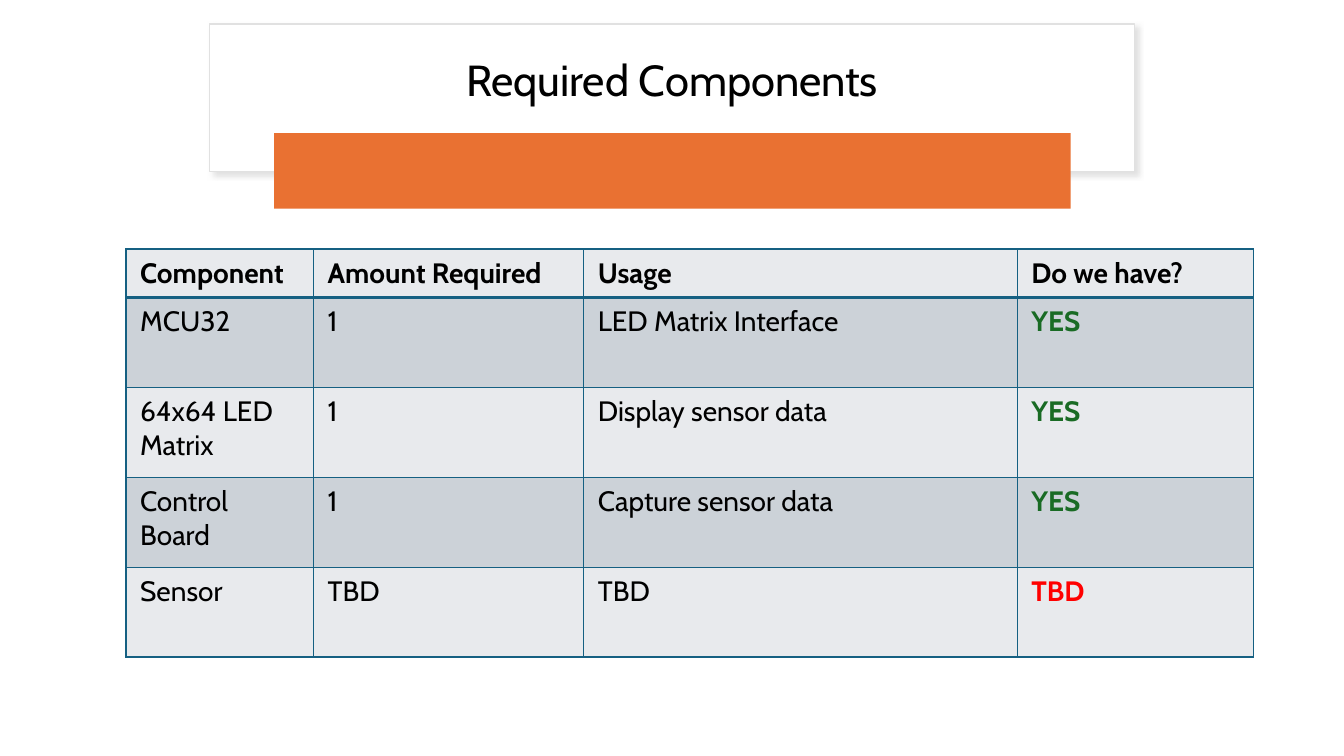
from lxml import etree
from pptx import Presentation
from pptx.dml.color import RGBColor
from pptx.enum.shapes import MSO_SHAPE
from pptx.enum.text import MSO_ANCHOR, PP_ALIGN
from pptx.oxml import parse_xml
from pptx.oxml.ns import nsdecls, qn
from pptx.util import Inches, Pt

RECT = MSO_SHAPE.RECTANGLE
MIDDLE = MSO_ANCHOR.MIDDLE
TOP = MSO_ANCHOR.TOP
LEFT = PP_ALIGN.LEFT
CENTER = PP_ALIGN.CENTER

WHITE = RGBColor(0xFF, 0xFF, 0xFF)
BLACK = RGBColor(0, 0, 0)
ORANGE = RGBColor(0xE9, 0x71, 0x32)
FRAME = RGBColor(0xE1, 0xE1, 0xE1)
SHADE = RGBColor(0xC5, 0xC5, 0xC5)
EDGE = RGBColor(0x15, 0x60, 0x82)
BANDS = (RGBColor(0xE8, 0xEA, 0xED), RGBColor(0xCC, 0xD2, 0xD8))
GREEN = RGBColor(0x19, 0x6B, 0x24)
RED = RGBColor(0xFF, 0, 0)
FONT = "Cabin"

ROWS = (
    ("Component", "Amount Required", "Usage", "Do we have?"),
    ("MCU32", "1", "LED Matrix Interface", "YES"),
    ("64x64 LED Matrix", "1", "Display sensor data", "YES"),
    ("Control Board", "1", "Capture sensor data", "YES"),
    ("Sensor", "TBD", "TBD", "TBD"),
)
WIDTHS = (1.86, 2.68, 4.3, 2.34)
HEAD = 0.48


def write(frame, text, size=20, color=BLACK, bold=False, align=LEFT, space=1.0):
    frame.word_wrap = True
    para = frame.paragraphs[0]
    para.alignment = align
    para.line_spacing = space
    run = para.add_run()
    run.text = text
    font = run.font
    font.name, font.size, font.bold = FONT, Pt(size), bold
    font.color.rgb = color


def add_box(slide, left, top, width, height, fill, line=None):
    box = slide.shapes.add_shape(
        RECT, Inches(left), Inches(top), Inches(width), Inches(height))
    box.shadow.inherit = False
    box.fill.solid()
    box.fill.fore_color.rgb = fill
    if line is None:
        box.line.fill.background()
    else:
        box.line.color.rgb = line
        box.line.width = Pt(1)
    return box


def drop_shadow(box):
    effects = box._element.spPr.find(qn("a:effectLst"))
    effects.append(parse_xml(
        f'<a:outerShdw {nsdecls("a")} blurRad="{Pt(4)}" dist="{Pt(3)}" '
        f'dir="{45 * 60000}" algn="tl" rotWithShape="0"><a:srgbClr val="{SHADE}">'
        '<a:alpha val="50000"/></a:srgbClr></a:outerShdw>'))


def add_title(slide, left, top, width, height):
    """Framed title with an orange bar across the lower edge."""
    drop_shadow(add_box(slide, left, top, width, height, WHITE, FRAME))
    title = slide.shapes.add_textbox(
        Inches(left + 0.22), Inches(top + 0.1), Inches(width - 0.44), Inches(0.95))
    title.text_frame.vertical_anchor = MIDDLE
    write(title.text_frame, "Required Components", size=31, align=CENTER, space=0.9)
    add_box(slide, left + 0.64, top + 1.08, width - 1.27, 0.75, ORANGE)


def set_edge(cell, side, points):
    props = cell._tc.get_or_add_tcPr()
    line = etree.SubElement(props, qn(f"a:ln{side}"), w=str(Pt(points)))
    fill = etree.SubElement(line, qn("a:solidFill"))
    etree.SubElement(fill, qn("a:srgbClr"), val=str(EDGE))


def fill_cell(cell, text, row, col):
    for side in "LRTB":
        thick = (row, side) in ((0, "B"), (1, "T"))
        set_edge(cell, side, 2 if thick else 1)
    cell.fill.solid()
    cell.fill.fore_color.rgb = BANDS[row % 2]
    cell.margin_left = cell.margin_right = Inches(0.14)
    cell.margin_top = cell.margin_bottom = Inches(0.07)
    cell.vertical_anchor = TOP
    status = row > 0 and col == len(WIDTHS) - 1
    color = (GREEN if text == "YES" else RED) if status else BLACK
    write(cell.text_frame, text, color=color, bold=status or row == 0)


def add_parts(slide, left, top, width, height):
    """Table of components and whether each is on hand."""
    table = slide.shapes.add_table(
        len(ROWS), len(WIDTHS),
        Inches(left), Inches(top), Inches(width), Inches(height)).table
    for column, share in zip(table.columns, WIDTHS):
        column.width = Inches(width * share / sum(WIDTHS))
    for row, texts in enumerate(ROWS):
        tall = (height - HEAD) / (len(ROWS) - 1)
        table.rows[row].height = Inches(tall if row else HEAD)
        for col, text in enumerate(texts):
            fill_cell(table.cell(row, col), text, row, col)


def main():
    deck = Presentation()
    deck.slide_width, deck.slide_height = Inches(13.33), Inches(7.5)
    slide = deck.slides.add_slide(deck.slide_layouts[6])
    add_title(slide, 2.08, 0.24, 9.17, 1.46)
    add_parts(slide, 1.25, 2.47, 11.18, 4.05)
    deck.save("out.pptx")


if __name__ == "__main__":
    main()
